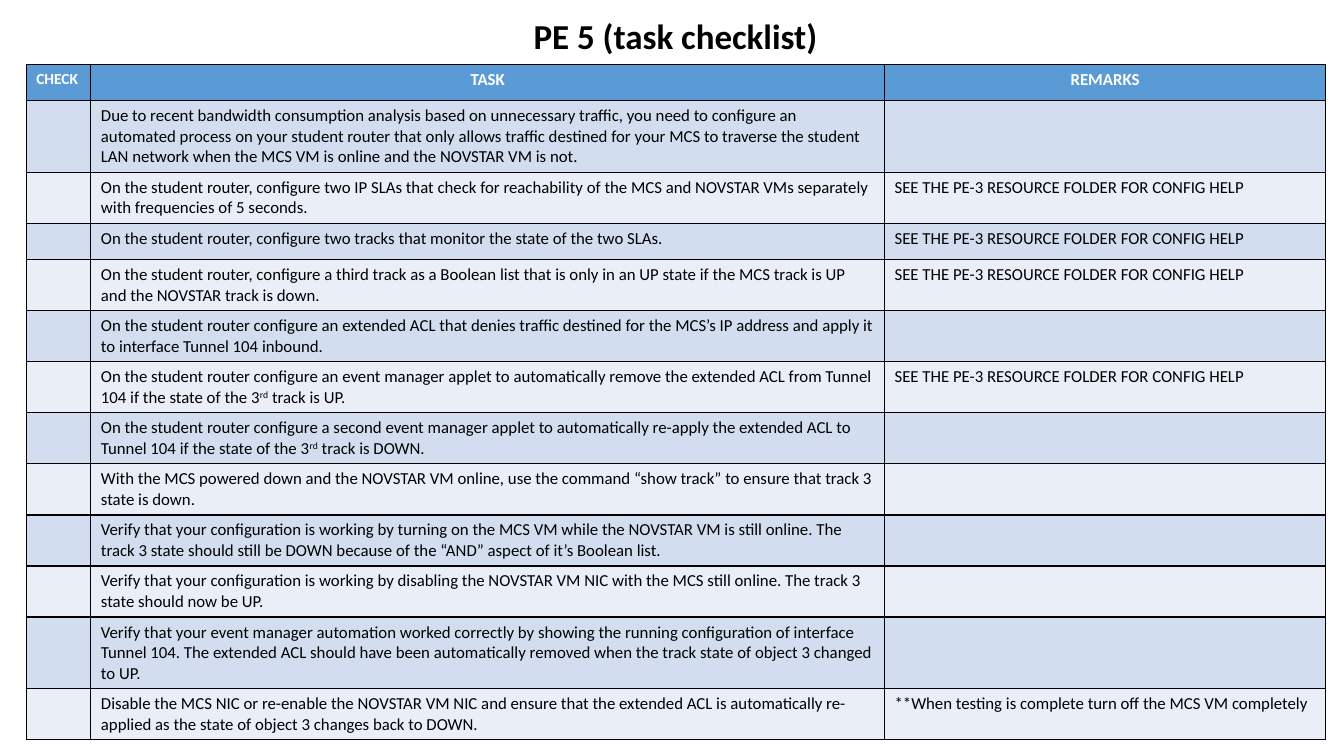
from lxml.etree import SubElement
from pptx import Presentation
from pptx.dml.color import RGBColor
from pptx.enum.text import MSO_ANCHOR, MSO_AUTO_SIZE, PP_ALIGN
from pptx.oxml.ns import qn
from pptx.util import Cm, Pt

HELP = "SEE THE PE-3 RESOURCE FOLDER FOR CONFIG HELP"

# Text between carets is superscript.
TASKS = [
    ("Due to recent bandwidth consumption analysis based on unnecessary traffic, you need to "
     "configure an automated process on your student router that only allows traffic destined "
     "for your MCS to traverse the student LAN network when the MCS VM is online and the "
     "NOVSTAR VM is not.", ""),
    ("On the student router, configure two IP SLAs that check for reachability of the MCS and "
     "NOVSTAR VMs separately with frequencies of 5 seconds.", HELP),
    ("On the student router, configure two tracks that monitor the state of the two SLAs.", HELP),
    ("On the student router, configure a third track as a Boolean list that is only in an UP "
     "state if the MCS track is UP and the NOVSTAR track is down.", HELP),
    ("On the student router configure an extended ACL that denies traffic destined for the "
     "MCS’s IP address and apply it to interface Tunnel 104 inbound.", ""),
    ("On the student router configure an event manager applet to automatically remove the "
     "extended ACL from Tunnel 104 if the state of the 3^rd^ track is UP.", HELP),
    ("On the student router configure a second event manager applet to automatically re-apply "
     "the extended ACL to Tunnel 104 if the state of the 3^rd^ track is DOWN.", ""),
    ("With the MCS powered down and the NOVSTAR VM online, use the command “show track” to "
     "ensure that track 3 state is down.", ""),
    ("Verify that your configuration is working by turning on the MCS VM while the NOVSTAR VM "
     "is still online. The track 3 state should still be DOWN because of the “AND” aspect of "
     "it’s Boolean list.", ""),
    ("Verify that your configuration is working by disabling the NOVSTAR VM NIC with the MCS "
     "still online. The track 3 state should now be UP.", ""),
    ("Verify that your event manager automation worked correctly by showing the running "
     "configuration of interface Tunnel 104. The extended ACL should have been automatically "
     "removed when the track state of object 3 changed to UP.", ""),
    ("Disable the MCS NIC or re-enable the NOVSTAR VM NIC and ensure that the extended ACL is "
     "automatically re-applied as the state of object 3 changes back to DOWN.",
     "**When testing is complete turn off the MCS VM completely"),
]


def rgb(value):
    return RGBColor.from_string(value)


def write(tf, text, size=12, color="000000", bold=False, align=PP_ALIGN.LEFT, spacing=None):
    """Fill the first paragraph; text between carets becomes superscript."""
    p = tf.paragraphs[0]
    p.alignment = align
    if spacing:
        p.line_spacing = spacing
    if not text:
        SubElement(p._p, qn("a:endParaRPr"), sz=str(size * 100))
        return
    for i, part in enumerate(text.split("^")):
        r = p.add_run()
        r.text = part
        r.font.name = "Calibri"
        r.font.size = Pt(size)
        r.font.bold = bold
        r.font.color.rgb = rgb(color)
        if i % 2:
            r._r.get_or_add_rPr().set("baseline", "30000")


class ChecklistSlide:
    header_fill = "5B9BD5"
    band_fills = ("D2DEEF", "EAEFF7")
    border = "000000"

    def __init__(self, prs):
        self.slide = prs.slides.add_slide(prs.slide_layouts[0])
        subtitle = self.slide.placeholders[1]._element
        subtitle.getparent().remove(subtitle)

    def title(self, text, left, top, width, height):
        sp = self.slide.shapes.title
        sp.left, sp.top, sp.width, sp.height = Cm(left), Cm(top), Cm(width), Cm(height)
        tf = sp.text_frame
        tf.word_wrap = True
        tf.auto_size = MSO_AUTO_SIZE.NONE
        tf.vertical_anchor = MSO_ANCHOR.BOTTOM
        write(tf, text, size=25, bold=True, align=PP_ALIGN.CENTER, spacing=0.9)

    def cell(self, cell, text, fill, **fmt):
        tcPr = cell._tc.get_or_add_tcPr()
        for side in ("lnL", "lnR", "lnT", "lnB"):
            ln = SubElement(tcPr, qn(f"a:{side}"), w=str(Pt(1)))
            solid = SubElement(ln, qn("a:solidFill"))
            SubElement(solid, qn("a:srgbClr"), val=self.border)
        cell.fill.solid()
        cell.fill.fore_color.rgb = rgb(fill)
        write(cell.text_frame, text, **fmt)

    def checklist(self, tasks, left, top, widths, row_height):
        rows = len(tasks) + 1
        table = self.slide.shapes.add_table(
            rows, len(widths), Cm(left), Cm(top), Cm(sum(widths)), Cm(row_height * rows)).table
        table.horz_banding = False
        for column, width in zip(table.columns, widths):
            column.width = Cm(width)
        for row in table.rows:
            row.height = Cm(row_height)
        headers = (("CHECK", 11, PP_ALIGN.LEFT), ("TASK", 12, PP_ALIGN.CENTER),
                   ("REMARKS", 12, PP_ALIGN.CENTER))
        for c, (text, size, align) in enumerate(headers):
            self.cell(table.cell(0, c), text, self.header_fill,
                      size=size, color="FFFFFF", bold=True, align=align)
        for r, (task, remark) in enumerate(tasks):
            for c, text in enumerate(("", task, remark)):
                self.cell(table.cell(r + 1, c), text, self.band_fills[r % 2])


def main():
    prs = Presentation()
    prs.slide_width, prs.slide_height = Cm(33.87), Cm(19.05)
    s = ChecklistSlide(prs)
    s.title("PE 5 (task checklist)", 4.32, 0.05, 25.4, 1.52)
    s.checklist(TASKS, 0.66, 1.63, (1.63, 20, 11.12), 0.91)
    prs.save("out.pptx")


if __name__ == "__main__":
    main()
